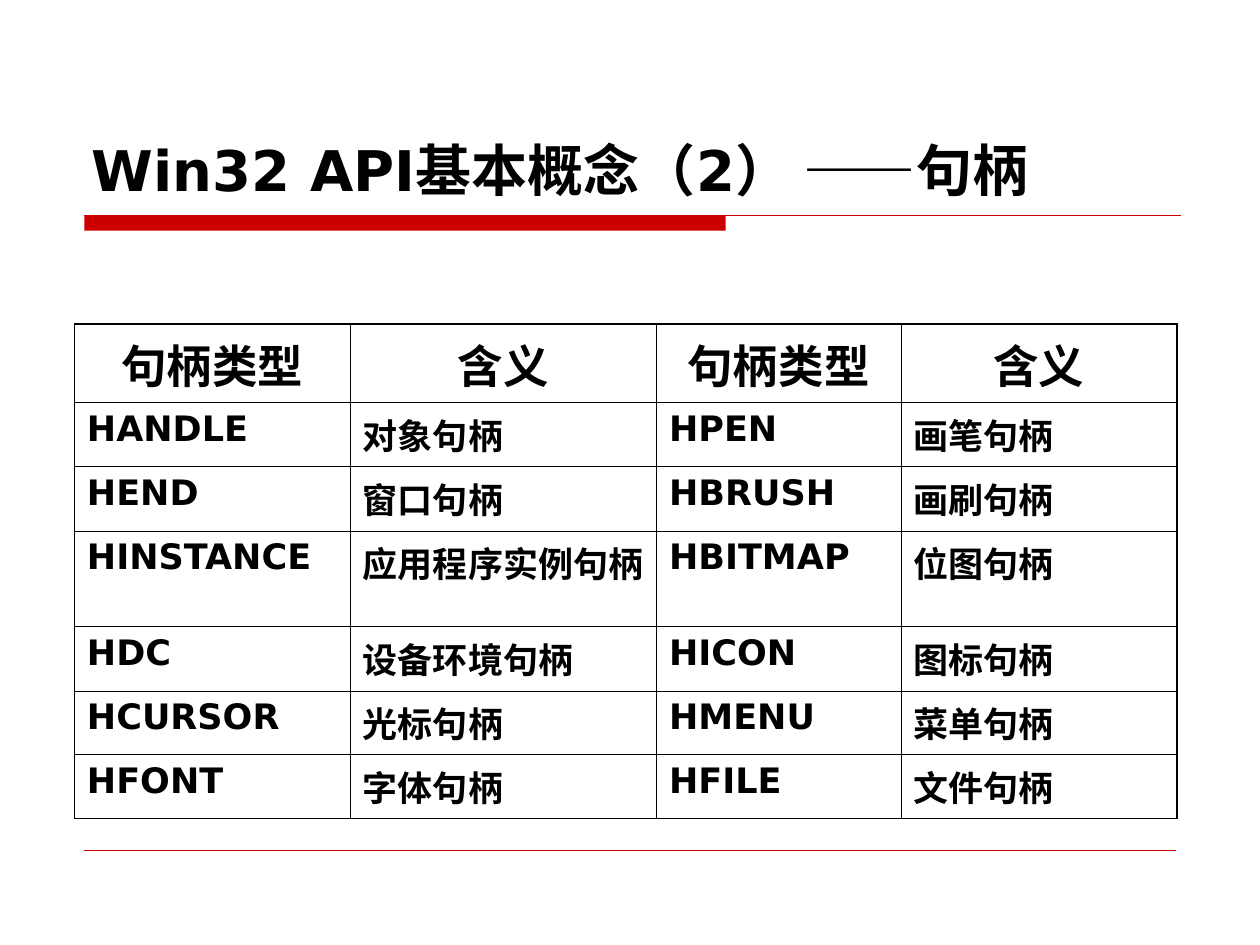
from dataclasses import dataclass

from lxml.etree import SubElement
from pptx import Presentation
from pptx.dml.color import RGBColor
from pptx.enum.shapes import MSO_CONNECTOR, MSO_SHAPE
from pptx.enum.text import MSO_ANCHOR, MSO_AUTO_SIZE, PP_ALIGN
from pptx.oxml.ns import qn
from pptx.util import Inches, Pt


@dataclass(frozen=True)
class Theme:
    font: str = "DejaVu Sans"
    ink: str = "000000"
    accent: str = "CC0000"
    title_size: int = 32
    header_size: int = 26
    body_size: int = 20
    outer_border: float = 1.08
    inner_border: float = 0.45


theme = Theme()


def write(text_frame, text, size, align):
    """Fill a frame with one bold paragraph."""
    text_frame.text = text
    paragraph = text_frame.paragraphs[0]
    paragraph.alignment = align
    for run in paragraph.runs:
        run.font.name = theme.font
        run.font.size = Pt(size)
        run.font.bold = True
        run.font.color.rgb = RGBColor.from_string(theme.ink)


def add_rule(shapes, left, right, y, width):
    """Draw a horizontal accent line."""
    rule = shapes.add_connector(
        MSO_CONNECTOR.STRAIGHT, Inches(left), Inches(y), Inches(right), Inches(y))
    rule.line.color.rgb = RGBColor.from_string(theme.accent)
    rule.line.width = Pt(width)
    SubElement(rule._element.spPr, qn("a:effectLst"))


prs = Presentation()
prs.slide_width, prs.slide_height = Inches(10), Inches(7.5)
slide = prs.slides.add_slide(prs.slide_layouts[5])

# Title
title = slide.shapes.title
title.left, title.top = Inches(0.63), Inches(0.33)
title.width, title.height = Inches(8.75), Inches(1.33)
title.text_frame.auto_size = MSO_AUTO_SIZE.NONE
title.text_frame.vertical_anchor = MSO_ANCHOR.BOTTOM
write(title.text_frame, "Win32 API基本概念（2） ——句柄", theme.title_size, PP_ALIGN.LEFT)

# Accent bar and rules
accent_bar = slide.shapes.add_shape(
    MSO_SHAPE.RECTANGLE, Inches(0.67), Inches(1.71), Inches(5.09), Inches(0.12))
accent_bar.shadow.inherit = False
accent_bar.fill.solid()
accent_bar.fill.fore_color.rgb = RGBColor.from_string(theme.accent)
accent_bar.line.fill.background()
add_rule(slide.shapes, 0.67, 9.37, 1.71, 1)
add_rule(slide.shapes, 0.67, 9.33, 6.75, 0.25)

# Handle types and their meanings
handle_rows = [
    ("句柄类型", "含义", "句柄类型", "含义"),
    ("HANDLE", "对象句柄", "HPEN", "画笔句柄"),
    ("HEND", "窗口句柄", "HBRUSH", "画刷句柄"),
    ("HINSTANCE", "应用程序实例句柄", "HBITMAP", "位图句柄"),
    ("HDC", "设备环境句柄", "HICON", "图标句柄"),
    ("HCURSOR", "光标句柄", "HMENU", "菜单句柄"),
    ("HFONT", "字体句柄", "HFILE", "文件句柄"),
]
column_widths = [2.19, 2.43, 1.94, 2.19]
row_heights = [0.62, 0.51, 0.51, 0.76, 0.51, 0.5, 0.51]
last_row, last_column = len(row_heights) - 1, len(column_widths) - 1

handles = slide.shapes.add_table(
    len(row_heights), len(column_widths), Inches(0.59), Inches(2.57),
    Inches(sum(column_widths)), Inches(sum(row_heights))).table
handles.first_row = handles.horz_banding = False
for column, width in zip(handles.columns, column_widths):
    column.width = Inches(width)

for r, (row, height) in enumerate(zip(handles.rows, row_heights)):
    row.height = Inches(height)
    size, align = ((theme.header_size, PP_ALIGN.CENTER) if r == 0
                   else (theme.body_size, PP_ALIGN.LEFT))
    for c, cell in enumerate(row.cells):
        write(cell.text_frame, handle_rows[r][c], size, align)

        # Heavier border on the outside edges; borders precede the fill in the XML
        outside = {"a:lnL": c == 0, "a:lnR": c == last_column,
                   "a:lnT": r == 0, "a:lnB": r == last_row}
        properties = cell._tc.get_or_add_tcPr()
        for edge, is_outside in outside.items():
            points = theme.outer_border if is_outside else theme.inner_border
            border = SubElement(properties, qn(edge), w=str(Pt(points)))
            border_fill = SubElement(border, qn("a:solidFill"))
            SubElement(border_fill, qn("a:srgbClr"), val=theme.ink)
        cell.fill.background()

prs.save("out.pptx")
